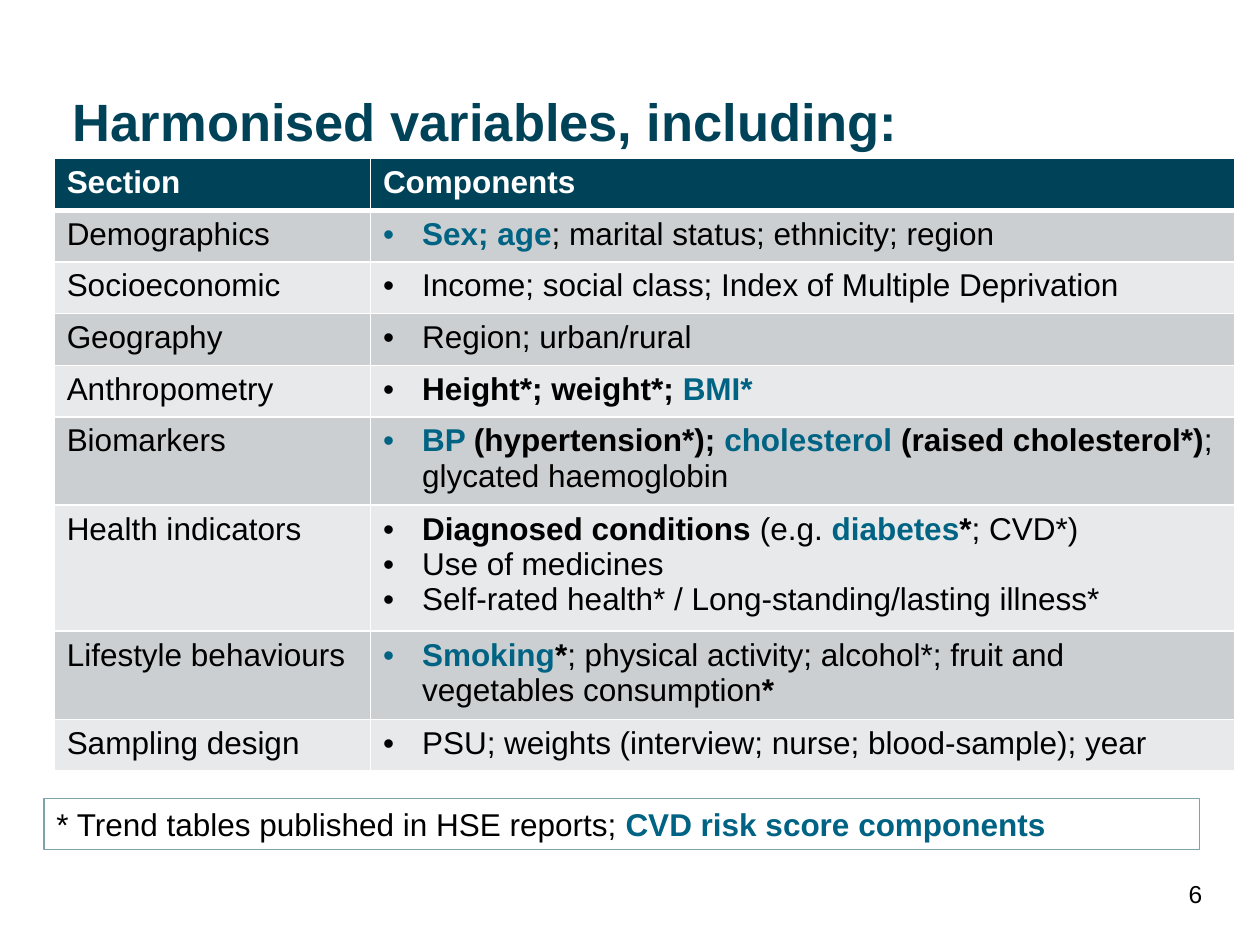
from dataclasses import dataclass

from lxml.etree import SubElement
from pptx import Presentation
from pptx.dml.color import RGBColor
from pptx.enum.shapes import MSO_SHAPE
from pptx.enum.text import MSO_ANCHOR, MSO_AUTO_SIZE, PP_ALIGN
from pptx.oxml import parse_xml
from pptx.oxml.ns import nsdecls, qn
from pptx.util import Inches, Pt

NAVY, TEAL, BLACK, WHITE = "004359", "006383", "000000", "FFFFFF"
BANDS = ("CCCFD1", "E7E9EA")


@dataclass(frozen=True)
class Run:
    text: str
    color: str = BLACK
    bold: bool = False
    size: int = 18


@dataclass(frozen=True)
class Section:
    name: str
    components: list[list[Run]]
    height: float = 0.41


def strong(text: str) -> Run:
    return Run(text, bold=True)


def risk(text: str) -> Run:
    return Run(text, TEAL, True)


SECTIONS = [
    Section("Demographics", [[risk("Sex; age"), Run("; marital status; ethnicity; region")]]),
    Section("Socioeconomic", [[Run("Income; social class; Index of Multiple Deprivation")]]),
    Section("Geography", [[Run("Region; urban/rural")]]),
    Section("Anthropometry", [[strong("Height*; weight*; "), risk("BMI*")]]),
    Section("Biomarkers", [[
        risk("BP "), strong("(hypertension*); "), risk("cholesterol "),
        strong("(raised cholesterol*)"), Run("; glycated haemoglobin"),
    ]], 0.66),
    Section("Health indicators", [
        [strong("Diagnosed conditions "), Run("(e.g. "), risk("diabetes"), strong("*"), Run("; CVD*)")],
        [Run("Use of medicines")],
        [Run("Self-rated health* / Long-standing/lasting illness*")],
    ], 0.94),
    Section("Lifestyle behaviours", [[
        risk("Smoking"), strong("*"),
        Run("; physical activity; alcohol*; fruit and vegetables consumption"), strong("*"),
    ]], 0.66),
    Section("Sampling design", [[Run("PSU; weights (interview; nurse; blood-sample); year")]]),
]


def rgb(color: str) -> RGBColor:
    return RGBColor.from_string(color)


def apply_format(target, values: dict) -> None:
    for name, value in values.items():
        setattr(target, name, value)


def write_runs(paragraph, runs: list[Run]) -> None:
    for item in runs:
        run = paragraph.add_run()
        run.text = item.text
        apply_format(run.font, {"name": "Arial", "size": Pt(item.size), "bold": item.bold})
        run.font.color.rgb = rgb(item.color)


def add_bullet(paragraph) -> None:
    properties = paragraph._p.get_or_add_pPr()
    properties.set("marL", str(Inches(0.31)))
    properties.set("indent", str(-Inches(0.31)))
    SubElement(properties, qn("a:buFont")).set("typeface", "Arial")
    SubElement(properties, qn("a:buChar")).set("char", "•")


def fill_cell(cell, paragraphs: list[list[Run]], color: str, bulleted: bool,
              top: int = 1, bottom: int = 1) -> None:
    cell.fill.solid()
    cell.fill.fore_color.rgb = rgb(color)
    properties = cell._tc.get_or_add_tcPr()
    for index, (side, width) in enumerate(zip("LRTB", (1, 1, top, bottom))):
        properties.insert(index, parse_xml(
            f'<a:ln{side} {nsdecls("a")} w="{Pt(width)}"><a:solidFill>'
            f'<a:srgbClr val="{WHITE}"/></a:solidFill></a:ln{side}>'))
    frame = cell.text_frame
    for index, runs in enumerate(paragraphs):
        paragraph = frame.add_paragraph() if index else frame.paragraphs[0]
        if bulleted:
            add_bullet(paragraph)
        write_runs(paragraph, runs)


def add_text(slide, box: tuple[float, ...], run: Run, frame_format: dict, alignment: PP_ALIGN) -> None:
    frame = slide.shapes.add_textbox(*map(Inches, box)).text_frame
    apply_format(frame, {"word_wrap": True, **frame_format})
    frame.paragraphs[0].alignment = alignment
    write_runs(frame.paragraphs[0], [run])


def add_sections(slide) -> None:
    heights = [0.41] + [section.height for section in SECTIONS]
    table = slide.shapes.add_table(
        len(heights), 2, Inches(0.43), Inches(1.26), Inches(9.37), Inches(sum(heights))).table
    for column, width in zip(table.columns, (2.51, 6.86)):
        column.width = Inches(width)
    for row, height in zip(table.rows, heights):
        row.height = Inches(height)
    for column, heading in enumerate(("Section", "Components")):
        fill_cell(table.cell(0, column), [[Run(heading, WHITE, True)]], NAVY, False, bottom=3)
    for index, section in enumerate(SECTIONS):
        color = BANDS[index % 2]
        top = 1 if index else 3
        fill_cell(table.cell(index + 1, 0), [[Run(section.name)]], color, False, top)
        fill_cell(table.cell(index + 1, 1), section.components, color, True, top)


def add_legend(slide) -> None:
    shape = slide.shapes.add_shape(
        MSO_SHAPE.RECTANGLE, Inches(0.35), Inches(6.34), Inches(9.17), Inches(0.4))
    shape.shadow.inherit = False
    shape.fill.background()
    shape.line.color.rgb = rgb("7FA1AC")
    shape.line.width = Pt(0.75)
    frame = shape.text_frame
    apply_format(frame, {"word_wrap": True, "auto_size": MSO_AUTO_SIZE.SHAPE_TO_FIT_TEXT,
                         "vertical_anchor": MSO_ANCHOR.TOP})
    paragraph = frame.paragraphs[0]
    apply_format(paragraph, {"alignment": PP_ALIGN.LEFT, "space_before": Pt(6)})
    write_runs(paragraph, [Run("* Trend tables published in HSE reports; "),
                           risk("CVD risk score components")])


def main() -> None:
    presentation = Presentation()
    apply_format(presentation, {"slide_width": Inches(10), "slide_height": Inches(7.5)})
    slide = presentation.slides.add_slide(presentation.slide_layouts[6])
    add_text(slide, (0.48, 0.61, 9.28, 0.52), Run("Harmonised variables, including:", NAVY, True, 30),
             {"margin_top": Inches(0.1), "margin_bottom": Inches(0),
              "vertical_anchor": MSO_ANCHOR.TOP}, PP_ALIGN.LEFT)
    add_sections(slide)
    add_legend(slide)
    add_text(slide, (8.54, 6.93, 1.1, 0.52), Run("6", size=14), {}, PP_ALIGN.RIGHT)
    presentation.save("out.pptx")


if __name__ == "__main__":
    main()
